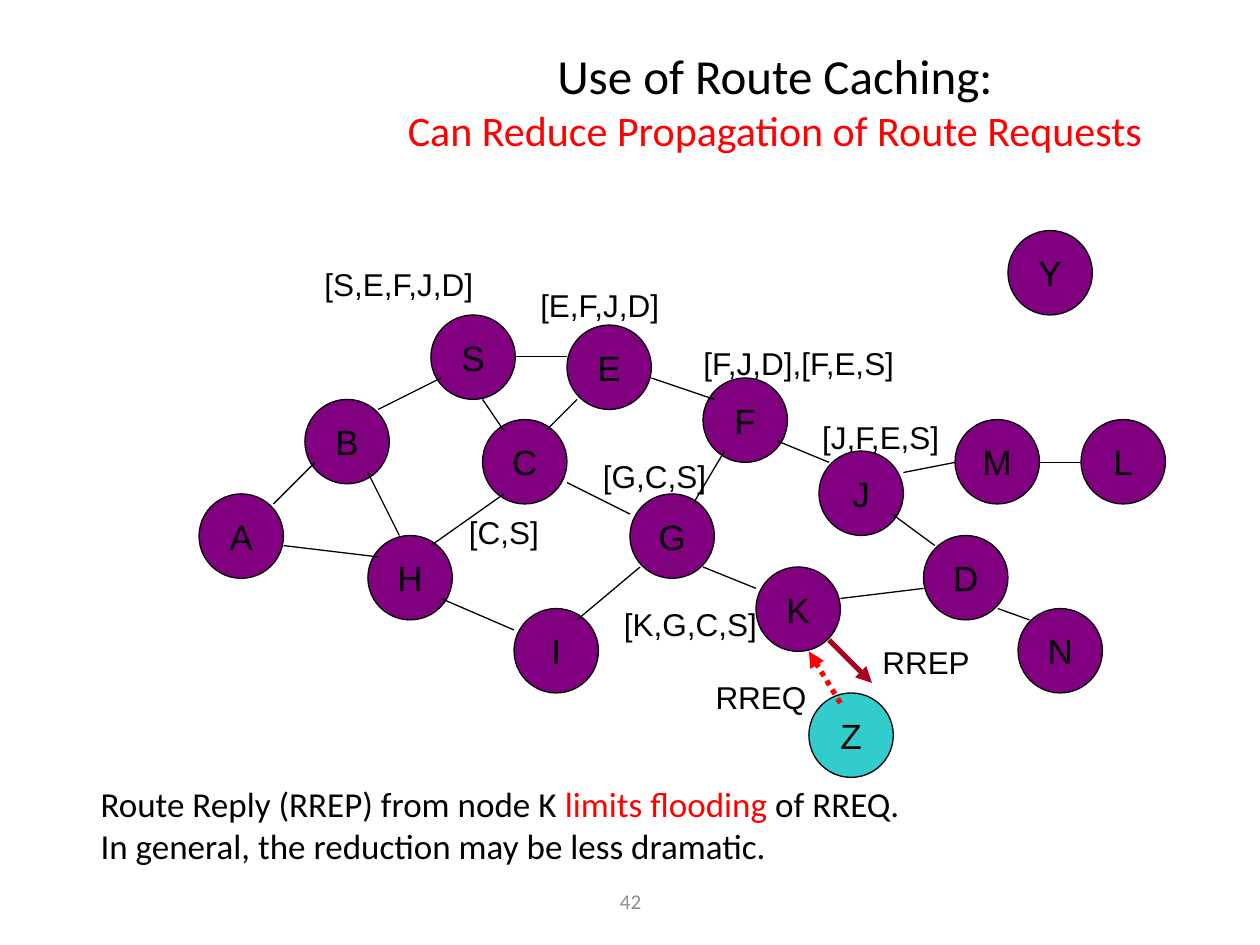
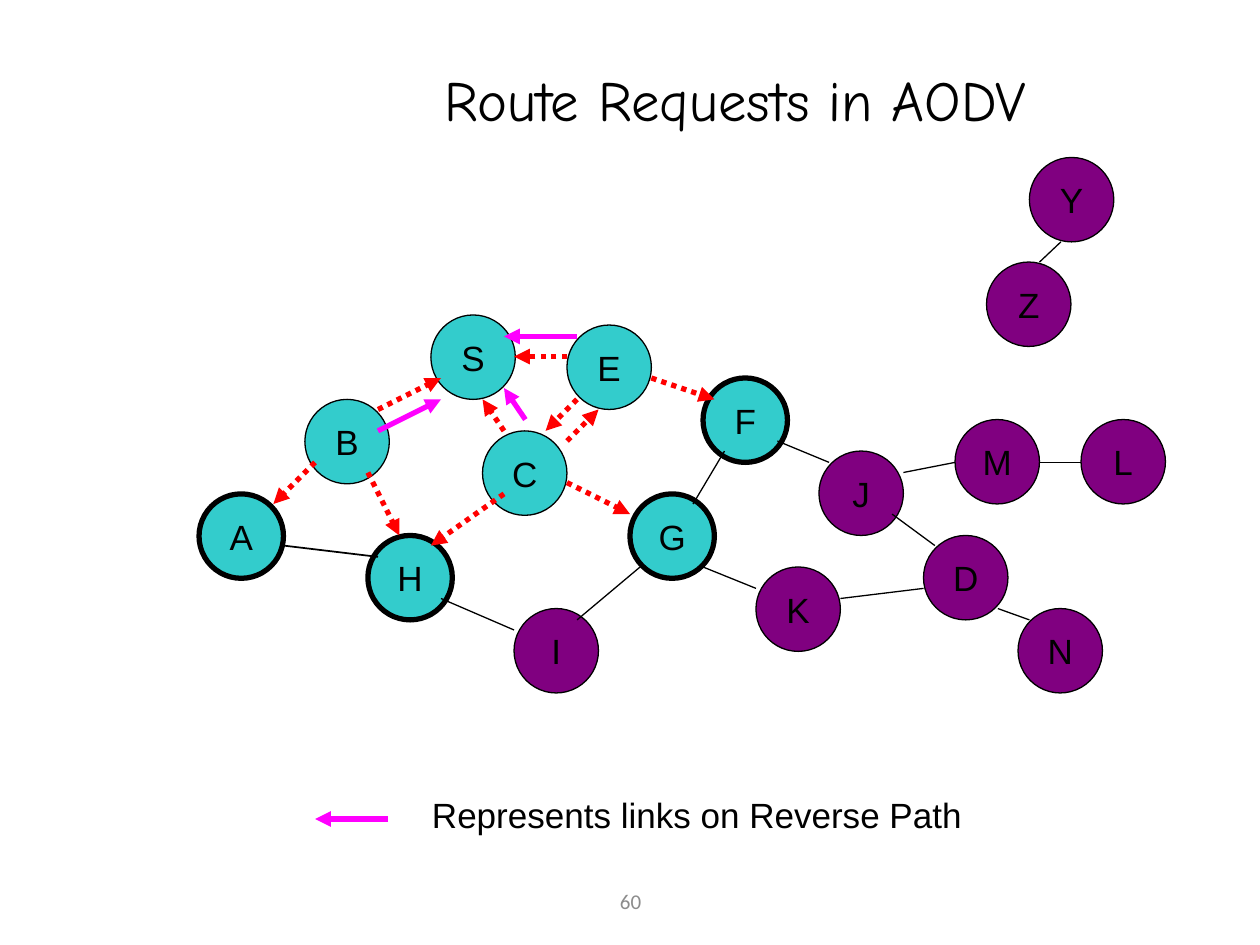
from dataclasses import dataclass

import pptx
import pptx.dml.color
import pptx.enum.dml
import pptx.enum.shapes
import pptx.enum.text
import pptx.oxml.ns
import pptx.util
from lxml import etree
from pptx.util import Inches

BLACK, RED, GREY = "000000", "FF0000", "8C8C8C"
PURPLE, TEAL, PINK, WINE = "800080", "33CCCC", "FF00FF", "A50021"
SANS, BODY, COMIC = "Arial", "Calibri", "Comic Neue"
SIZE = 0.67
CENTER = pptx.enum.text.PP_ALIGN.CENTER
LEFT = pptx.enum.text.PP_ALIGN.LEFT


@dataclass(frozen=True)
class Pen:
    color: str = BLACK
    width: float = 0.75
    dots: bool = False
    arrow: bool = False


@dataclass(frozen=True)
class Link:
    x1: float
    y1: float
    x2: float
    y2: float


@dataclass(frozen=True)
class Label:
    text: str
    left: float
    top: float
    width: float


THIN = Pen()
FLOOD = Pen(RED, 3, dots=True, arrow=True)
BACK = Pen(PINK, 3, arrow=True)
REPLY = Pen(WINE, 3, arrow=True)

NODES = {
    "B": (2.42, 3.17), "A": (1.58, 3.92), "S": (3.42, 2.5), "E": (4.5, 2.58),
    "F": (5.58, 3), "H": (2.92, 4.25), "J": (6.5, 3.58), "D": (7.33, 4.25),
    "G": (5, 3.92), "I": (4.08, 4.83), "K": (6, 4.5), "M": (7.58, 3.33),
    "N": (8.08, 4.83), "L": (8.58, 3.33),
}

LINKS = {
    "BA": Link(2.5, 3.67, 2.17, 4),
    "BS": Link(3, 3.25, 3.5, 3),
    "AH": Link(2.25, 4.33, 3, 4.42),
    "BH": Link(2.92, 3.75, 3.17, 4.25),
    "CH": Link(4, 3.92, 3.42, 4.33),
    "EC": Link(4.58, 3.17, 4.33, 3.42),
    "EF": Link(5.17, 3, 5.67, 3.17),
    "FG": Link(5.75, 3.58, 5.5, 4),
    "GI": Link(5.08, 4.5, 4.58, 4.92),
    "CG": Link(4.5, 3.83, 5, 4.08),
    "HI": Link(3.5, 4.75, 4.08, 5),
    "FJ": Link(6.17, 3.5, 6.58, 3.67),
    "GK": Link(5.58, 4.5, 6, 4.67),
    "JD": Link(7.08, 4.08, 7.42, 4.33),
    "DK": Link(7.33, 4.67, 6.67, 4.75),
    "ES": Link(4.5, 2.83, 4.08, 2.83),
    "CS": Link(4, 3.42, 3.83, 3.17),
    "JM": Link(7.17, 3.75, 7.58, 3.67),
    "DN": Link(7.92, 4.83, 8.17, 4.92),
    "ML": Link(8.25, 3.67, 8.58, 3.67),
}

LABELS = [
    Label("[S,E,F,J,D]", 2.44, 2.05, 1.45),
    Label("[E,F,J,D]", 4.15, 2.22, 1.22),
    Label("[C,S]", 3.61, 4.02, 0.78),
    Label("[G,C,S]", 4.67, 3.58, 1.05),
    Label("[F,J,D],[F,E,S]", 5.42, 2.68, 1.84),
    Label("[J,F,E,S]", 6.39, 3.27, 1.2),
    Label("[K,G,C,S]", 4.83, 4.75, 1.3),
    Label("RREQ", 5.58, 5.33, 0.92),
    Label("RREP", 6.9, 5.05, 0.9),
]

REVERSE = [
    Link(4.58, 2.67, 4, 2.67),
    Link(4.17, 3.33, 4, 3.08),
    Link(3, 3.42, 3.5, 3.17),
    Link(3.08, 6.5, 2.5, 6.5),
]


def paint(color: str) -> pptx.dml.color.RGBColor:
    return pptx.dml.color.RGBColor.from_string(color)


def write(line, text: str, *, size: float = 20, font: str = SANS,
          color: str = BLACK, align=CENTER) -> None:
    line.alignment = align
    run = line.add_run()
    run.text = text
    run.font.size = pptx.util.Pt(size)
    run.font.name = font
    run.font.color.rgb = paint(color)


def add_box(slide, left: float, top: float, width: float, height: float,
            wrap: bool = True):
    box = slide.shapes.add_textbox(Inches(left), Inches(top), Inches(width), Inches(height))
    frame = box.text_frame
    frame.word_wrap = wrap
    frame.vertical_anchor = pptx.enum.text.MSO_ANCHOR.MIDDLE
    return frame


def draw_node(slide, name: str, left: float, top: float, fill: str, width: float) -> None:
    oval = slide.shapes.add_shape(pptx.enum.shapes.MSO_SHAPE.OVAL, Inches(left),
                                  Inches(top), Inches(SIZE), Inches(SIZE))
    oval.shadow.inherit = False
    oval.fill.solid()
    oval.fill.fore_color.rgb = paint(fill)
    oval.line.color.rgb = paint(BLACK)
    oval.line.width = pptx.util.Pt(width)
    oval.text_frame.word_wrap = False
    oval.text_frame.vertical_anchor = pptx.enum.text.MSO_ANCHOR.MIDDLE
    write(oval.text_frame.paragraphs[0], name)


def draw_link(slide, link: Link, pen: Pen = THIN) -> None:
    wire = slide.shapes.add_connector(
        pptx.enum.shapes.MSO_CONNECTOR.STRAIGHT, Inches(link.x1), Inches(link.y1),
        Inches(link.x2), Inches(link.y2))
    wire.line.color.rgb = paint(pen.color)
    wire.line.width = pptx.util.Pt(pen.width)
    if pen.dots:
        wire.line.dash_style = pptx.enum.dml.MSO_LINE.ROUND_DOT
    qn = pptx.oxml.ns.qn
    props = wire.element.spPr
    if pen.arrow:
        etree.SubElement(props.find(qn("a:ln")), qn("a:tailEnd"), type="triangle")
    etree.SubElement(props, qn("a:effectLst"))


def draw_graph(slide, nodes: dict, fills: dict[str, str], bold: str, pens: dict[str, Pen]) -> None:
    for name, (left, top) in (NODES | nodes).items():
        draw_node(slide, name, left, top, fills.get(name, PURPLE), 3 if name in bold else 0.75)
    for key, link in LINKS.items():
        draw_link(slide, link, pens.get(key, THIN))


def start_slide(deck, number: int):
    slide = deck.slides.add_slide(deck.slide_layouts[6])
    foot = add_box(slide, 3.42, 6.95, 3.17, 0.4)
    write(foot.paragraphs[0], str(number), size=12, font=BODY, color=GREY)
    return slide


def build_cache(deck) -> None:
    slide = start_slide(deck, 42)
    title = add_box(slide, 2.4, 0.17, 7.5, 1.25)
    write(title.paragraphs[0], "Use of Route Caching:", size=28, font=BODY)
    write(title.add_paragraph(), "Can Reduce Propagation of Route Requests",
          size=24, font=BODY, color=RED)
    draw_graph(slide, {"C": (3.83, 3.33), "Z": (6.42, 5.5), "Y": (8, 1.83)}, {"Z": TEAL}, "", {})
    for label in LABELS:
        frame = add_box(slide, label.left, label.top, label.width, 0.4, wrap=False)
        write(frame.paragraphs[0], label.text, size=18)
    draw_link(slide, Link(6.67, 5.58, 6.42, 5.17), FLOOD)
    draw_link(slide, Link(6.58, 5.08, 6.92, 5.42), REPLY)
    note = add_box(slide, 0.7, 6.14, 7.97, 0.8)
    first = note.paragraphs[0]
    for text, color in (("Route Reply (RREP) from node K ", BLACK),
                        ("limits flooding", RED), (" of RREQ.", BLACK)):
        write(first, text, font=BODY, color=color, align=LEFT)
    write(note.add_paragraph(), "In general, the reduction may be less dramatic.",
          font=BODY, align=LEFT)


def build_request(deck) -> None:
    slide = start_slide(deck, 60)
    title = add_box(slide, 2.26, 0.16, 7.15, 1.25)
    write(title.paragraphs[0], "Route Requests in AODV", size=32.4, font=COMIC)
    pens = dict.fromkeys(("BA", "BS", "BH", "CH", "EC", "EF", "CG", "ES", "CS"), FLOOD)
    pens["AH"] = Pen(width=1)
    draw_graph(slide, {"C": (3.83, 3.42), "Z": (7.83, 2.08), "Y": (8.17, 1.25)},
               dict.fromkeys("BASEFHCG", TEAL), "AFHG", pens)
    draw_link(slide, Link(4.5, 3.5, 4.75, 3.25), FLOOD)
    draw_link(slide, Link(8.42, 1.92, 8.25, 2.08))
    for link in REVERSE:
        draw_link(slide, link, BACK)
    legend = add_box(slide, 3.33, 6.25, 4.75, 0.43)
    write(legend.paragraphs[0], "Represents links on Reverse Path", align=LEFT)


def main() -> None:
    deck = pptx.Presentation()
    deck.slide_width, deck.slide_height = Inches(10), Inches(7.5)
    build_cache(deck)
    build_request(deck)
    deck.save("out.pptx")


if __name__ == "__main__":
    main()
